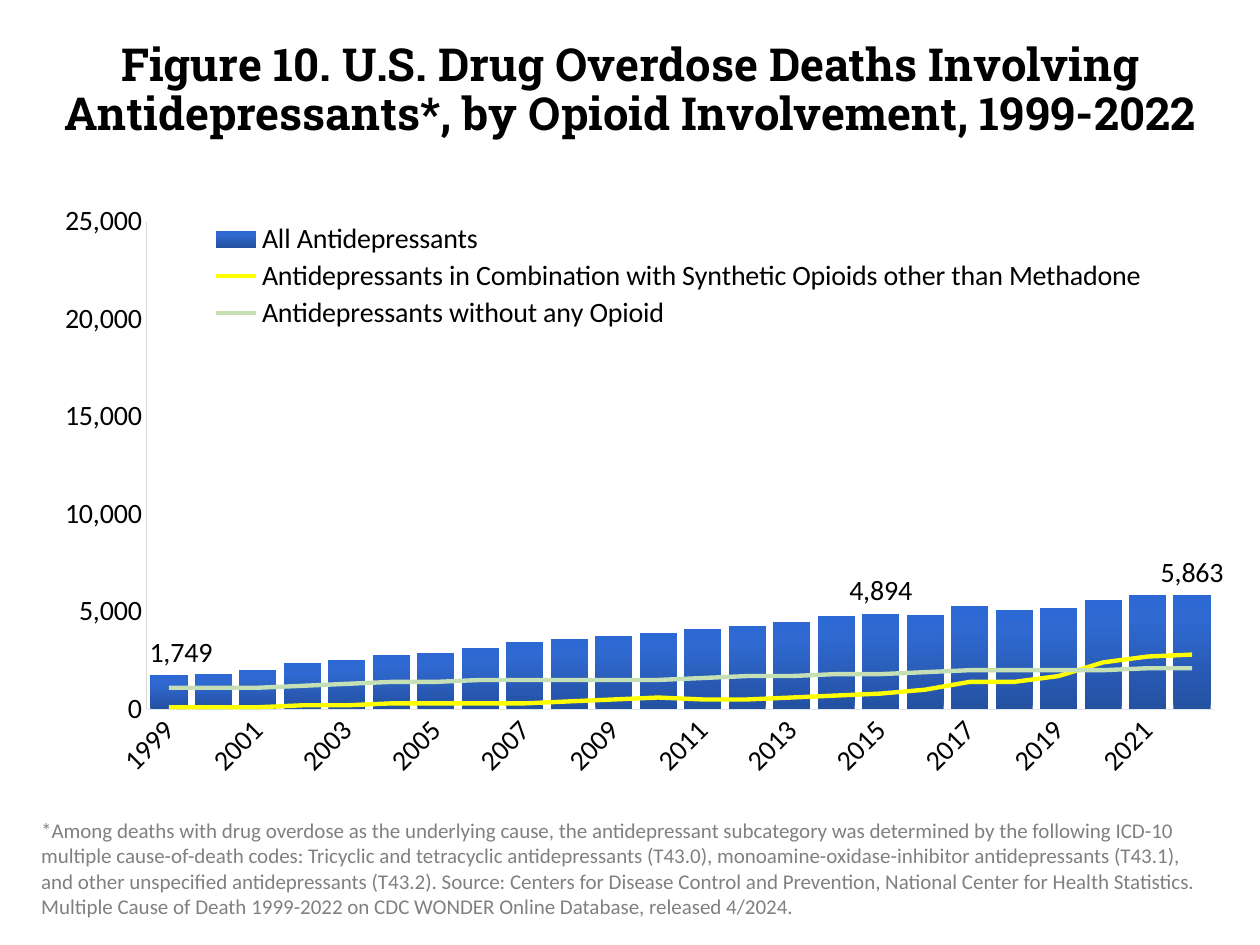
from copy import deepcopy

from pptx import Presentation
from pptx.chart.data import CategoryChartData
from pptx.dml.color import RGBColor
from pptx.enum.chart import (XL_CHART_TYPE, XL_LABEL_POSITION, XL_LEGEND_POSITION,
                             XL_MARKER_STYLE, XL_TICK_MARK)
from pptx.enum.text import MSO_ANCHOR, MSO_AUTO_SIZE, PP_ALIGN
from pptx.oxml import parse_xml
from pptx.oxml.ns import qn
from pptx.util import Cm, Pt

COLUMNS = XL_CHART_TYPE.COLUMN_CLUSTERED
ABOVE = XL_LABEL_POSITION.OUTSIDE_END
BOTTOM = XL_LEGEND_POSITION.BOTTOM
NO_MARKER = XL_MARKER_STYLE.NONE
NO_TICK = XL_TICK_MARK.NONE
CENTER = PP_ALIGN.CENTER
MIDDLE = MSO_ANCHOR.MIDDLE
NO_FIT = MSO_AUTO_SIZE.NONE

CHART_NS = 'xmlns:c="http://schemas.openxmlformats.org/drawingml/2006/chart"'
COLORS = {
    "text": "000000", "note": "808080",
    "category line": "E0E5EB", "value line": "D9D9D9",
    "bar bottom": "2451A1", "bar middle": "2F69D1", "bar top": "2C69D5",
    "synthetic": "FFFF00", "no opioid": "C5E0B4",
}
ALL_DEATHS = [1749, 1798, 2017, 2370, 2512, 2758, 2861, 3133, 3425, 3610, 3768, 3889,
              4113, 4259, 4458, 4768, 4894, 4812, 5269, 5064, 5175, 5597, 5859, 5863]
SYNTHETIC = [100, 100, 100, 200, 200, 300, 300, 300, 300, 400, 500, 600,
             500, 500, 600, 700, 800, 1000, 1400, 1400, 1700, 2400, 2700, 2800]
NO_OPIOID = [1100, 1100, 1100, 1200, 1300, 1400, 1400, 1500, 1500, 1500, 1500, 1500,
             1600, 1700, 1700, 1800, 1800, 1900, 2000, 2000, 2000, 2000, 2100, 2100]


def style_font(font, size, color, name="Calibri", bold=False):
    font.size, font.name, font.bold = Pt(size), name, bold
    font.color.rgb = RGBColor.from_string(COLORS[color])


def place(parent, index, **settings):
    """Give a chart part a manual layout, as fractions of the chart area."""
    for old in parent.findall(qn("c:layout")):
        parent.remove(old)
    body = "".join(f'<c:{key} val="{value}"/>' for key, value in settings.items())
    parent.insert(index, parse_xml(
        f"<c:layout {CHART_NS}><c:manualLayout>{body}</c:manualLayout></c:layout>"))


deck = Presentation()
deck.slide_width, deck.slide_height = Cm(25.4), Cm(19.05)
page = deck.slides.add_slide(deck.slide_layouts[5])

# Title
title = page.shapes.title
title.left, title.top, title.width, title.height = Cm(0.36), Cm(0), Cm(24.71), Cm(3.68)
frame = title.text_frame
frame.word_wrap, frame.auto_size, frame.vertical_anchor = True, NO_FIT, MIDDLE
para = frame.paragraphs[0]
para.alignment, para.line_spacing = CENTER, 0.9
span = para.add_run()
span.text = ("Figure 10. U.S. Drug Overdose Deaths Involving Antidepressants*, "
             "by Opioid Involvement, 1999-2022")
style_font(span.font, 26, "text", "Roboto Slab", True)

# Chart
data = CategoryChartData(number_format="#,##0")
data.categories = [str(year) for year in range(1999, 2023)]
data.add_series("All Antidepressants", ALL_DEATHS)
data.add_series("Antidepressants in Combination with Synthetic Opioids other than Methadone",
                SYNTHETIC)
data.add_series("Antidepressants without any Opioid", NO_OPIOID)
chart = page.shapes.add_chart(COLUMNS, Cm(0.61), Cm(4.06), Cm(24.21), Cm(12.09), data).chart
chart.has_title = False
style_font(chart.font, 16, "text")

# The last two series become lines on the same axes
columns = chart.plots[0]
columns.gap_width = 20
columns.vary_by_categories = False
bar_xml = chart.element.find(".//" + qn("c:barChart"))
line_xml = parse_xml(f'<c:lineChart {CHART_NS}><c:grouping val="standard"/>'
                     '<c:varyColors val="0"/><c:marker val="1"/></c:lineChart>')
for series_xml in bar_xml.findall(qn("c:ser"))[1:]:
    for invert in series_xml.findall(qn("c:invertIfNegative")):
        series_xml.remove(invert)
    line_xml.insert(len(line_xml) - 1, series_xml)
for axis_id in bar_xml.findall(qn("c:axId")):
    line_xml.append(deepcopy(axis_id))
bar_xml.addnext(line_xml)
for series, color in zip(chart.plots[1].series, ("synthetic", "no opioid")):
    series.format.line.width = Pt(2.5)
    series.format.line.color.rgb = RGBColor.from_string(COLORS[color])
    series.marker.style = NO_MARKER
    series.smooth = False

# Columns: three-stop gradient and labels for selected years
bars = columns.series[0]
fill = bars.format.fill
fill.gradient()
fill.gradient_angle = 90
stops_xml = bar_xml.find(".//" + qn("a:gsLst"))
stops_xml.append(deepcopy(stops_xml[-1]))
gradient = (("bar bottom", 0), ("bar middle", 0.8), ("bar top", 1))
for stop, (color, position) in zip(fill.gradient_stops, gradient):
    stop.color.rgb = RGBColor.from_string(COLORS[color])
    stop.position = position
for index in (0, 16, 23):
    label = bars.points[index].data_label
    label.position = ABOVE
    style_font(label.font, 16, "text")
bars.data_labels.show_value = False
place(bar_xml.find(".//" + qn("c:dLbl")), 1, x=0.01, y=0)

# Axes
for axis, color in ((chart.category_axis, "category line"), (chart.value_axis, "value line")):
    axis.major_tick_mark = axis.minor_tick_mark = NO_TICK
    axis.has_major_gridlines = False
    axis.format.line.width = Pt(0.75)
    axis.format.line.color.rgb = RGBColor.from_string(COLORS[color])
    style_font(axis.tick_labels.font, 16, "text")
values = chart.value_axis
values.minimum_scale, values.maximum_scale, values.major_unit = 0, 25000, 5000
values.tick_labels.number_format = "#,##0"
values.tick_labels.number_format_is_linked = False
category_xml = chart.element.find(".//" + qn("c:catAx"))
category_xml.find(".//" + qn("a:bodyPr")).set("rot", "-2700000")
skip = parse_xml(f'<c:tickLblSkip {CHART_NS} val="2"/>')
category_xml.find(qn("c:noMultiLvlLbl")).addprevious(skip)

# Legend and plot positions
chart.has_legend = True
chart.legend.position = BOTTOM
chart.legend.include_in_layout = False
style_font(chart.legend.font, 16, "text")
place(chart.element.find(".//" + qn("c:legend")), 1, xMode="edge", yMode="edge",
      x=0.13, y=0.03, w=0.82, h=0.19)
place(chart.element.find(".//" + qn("c:plotArea")), 0, layoutTarget="inner",
      xMode="edge", yMode="edge", x=0.097, y=0.034, w=0.889, h=0.813)

# Footnote
note = page.shapes.add_textbox(Cm(0.58), Cm(16.36), Cm(24.21), Cm(2.31))
note.text_frame.word_wrap = True
span = note.text_frame.paragraphs[0].add_run()
span.text = (
    "*Among deaths with drug overdose as the underlying cause, the antidepressant subcategory "
    "was determined by the following ICD-10 multiple cause-of-death codes: Tricyclic and "
    "tetracyclic antidepressants (T43.0), monoamine-oxidase-inhibitor antidepressants (T43.1), "
    "and other unspecified antidepressants (T43.2). Source: Centers for Disease Control and "
    "Prevention, National Center for Health Statistics. Multiple Cause of Death 1999-2022 on "
    "CDC WONDER Online Database, released 4/2024.")
style_font(span.font, 12, "note")

deck.save("out.pptx")
